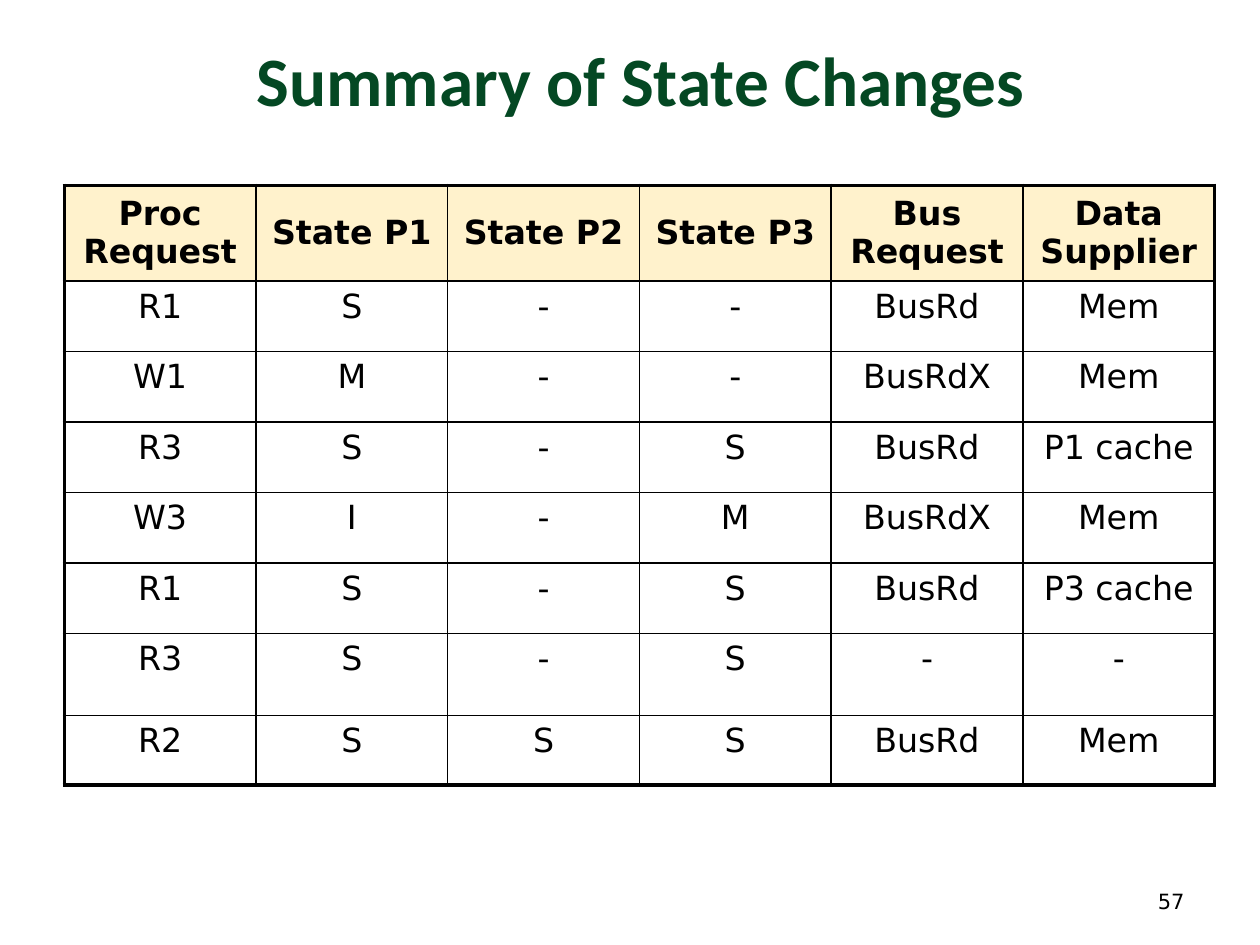
from lxml.etree import SubElement
from pptx import Presentation
from pptx.dml.color import RGBColor
from pptx.enum.text import MSO_ANCHOR, PP_ALIGN
from pptx.oxml.ns import qn
from pptx.util import Inches, Pt

TITLE = "Summary of State Changes"
PAGE = "57"
HEADER = ["Proc Request", "State P1", "State P2", "State P3", "Bus Request", "Data Supplier"]
CHANGES = [
    ["R1", "S", "-", "-", "BusRd", "Mem"],
    ["W1", "M", "-", "-", "BusRdX", "Mem"],
    ["R3", "S", "-", "S", "BusRd", "P1 cache"],
    ["W3", "I", "-", "M", "BusRdX", "Mem"],
    ["R1", "S", "-", "S", "BusRd", "P3 cache"],
    ["R3", "S", "-", "S", "-", "-"],
    ["R2", "S", "S", "S", "BusRd", "Mem"],
]
ROW_HEIGHTS = [0.76] + [0.56] * 5 + [0.65, 0.55]
COLORS = {"title": "044823", "text": "000000", "border": "000000", "header": "FFF2CC"}
BODY_FONT = "DejaVu Sans"
OUTER, INNER = 2.25, 1


def place(sp, left, top, width, height):
    sp.left, sp.top = Inches(left), Inches(top)
    sp.width, sp.height = Inches(width), Inches(height)


def style(p, name, size, color, align, bold=False):
    p.alignment = align
    p.font.name, p.font.size, p.font.bold = name, Pt(size), bold
    p.font.color.rgb = RGBColor.from_string(COLORS[color])


def set_borders(cell, widths):
    """Draw the left, right, top and bottom borders, in that order, in points."""
    tcPr = cell._tc.get_or_add_tcPr()
    for side, width in zip("LRTB", widths):
        ln = SubElement(tcPr, qn(f"a:ln{side}"), w=str(Pt(width)))
        fill = SubElement(ln, qn("a:solidFill"))
        SubElement(fill, qn("a:srgbClr"), val=COLORS["border"])


def add_state_table(slide):
    rows = [HEADER] + CHANGES
    n_rows, n_cols = len(rows), len(HEADER)
    frame = slide.shapes.add_table(n_rows, n_cols, Inches(0.51), Inches(1.47),
                                   Inches(9.13), Inches(sum(ROW_HEIGHTS)))
    table = frame.table
    table.first_row = table.horz_banding = False
    for row, height in zip(table.rows, ROW_HEIGHTS):
        row.height = Inches(height)
    for r, values in enumerate(rows):
        for c, value in enumerate(values):
            cell = table.cell(r, c)
            edges = (c == 0, c == n_cols - 1, r == 0, r == n_rows - 1)
            set_borders(cell, [OUTER if edge else INNER for edge in edges])
            is_header = r == 0
            if is_header:
                cell.fill.solid()
                cell.fill.fore_color.rgb = RGBColor.from_string(COLORS["header"])
            else:
                cell.fill.background()
            cell.vertical_anchor = MSO_ANCHOR.MIDDLE if is_header else MSO_ANCHOR.TOP
            cell.text = value
            style(cell.text_frame.paragraphs[0], BODY_FONT, 19, "text",
                  PP_ALIGN.CENTER, is_header)


def main():
    prs = Presentation()
    prs.slide_width, prs.slide_height = Inches(10), Inches(7.5)
    slide = prs.slides.add_slide(prs.slide_layouts[5])

    title = slide.shapes.title
    place(title, 0.67, 0.29, 8.83, 0.67)
    tf = title.text_frame
    tf.text = TITLE
    tf.vertical_anchor = MSO_ANCHOR.MIDDLE
    style(tf.paragraphs[0], "Calibri", 39.6, "title", PP_ALIGN.CENTER, True)

    add_state_table(slide)

    number = slide.shapes.add_textbox(Inches(7.17), Inches(6.95), Inches(2.33), Inches(0.4))
    tf = number.text_frame
    tf.word_wrap = True
    tf.text = PAGE
    tf.vertical_anchor = MSO_ANCHOR.MIDDLE
    style(tf.paragraphs[0], BODY_FONT, 12, "text", PP_ALIGN.RIGHT)

    prs.save("out.pptx")


if __name__ == "__main__":
    main()
